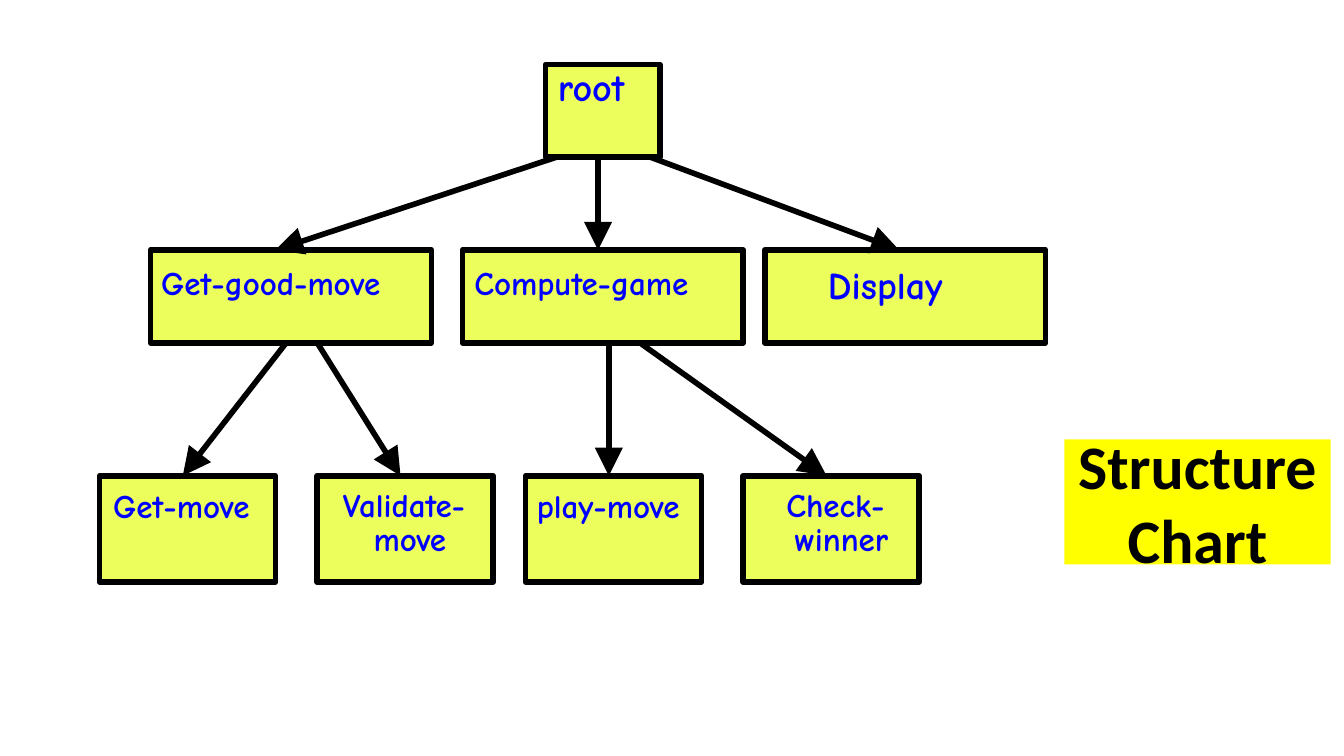
from dataclasses import dataclass

from lxml.etree import SubElement
from pptx import Presentation
from pptx.dml.color import RGBColor
from pptx.enum.shapes import MSO_CONNECTOR, MSO_SHAPE
from pptx.enum.text import MSO_ANCHOR, MSO_AUTO_SIZE, PP_ALIGN
from pptx.oxml.ns import qn
from pptx.util import Inches, Pt

BLACK = RGBColor(0x00, 0x00, 0x00)
BLUE = RGBColor(0x00, 0x00, 0xFF)
LIME = RGBColor(0xEB, 0xFE, 0x5C)
YELLOW = RGBColor(0xFF, 0xFF, 0x00)


@dataclass(frozen=True)
class Level:
    top: float
    width: float
    height: float
    align: PP_ALIGN

    @property
    def bottom(self) -> float:
        return self.top + self.height


@dataclass(frozen=True)
class Label:
    left: float
    top: float
    width: float
    height: float = 0.51
    size: float = 17.7


@dataclass(frozen=True)
class Module:
    name: str
    level: Level
    left: float
    label: Label


@dataclass(frozen=True)
class Call:
    caller: Level
    callee: Level
    start_x: float
    end_x: float


ROOT = Level(0.48, 0.85, 0.69, PP_ALIGN.LEFT)
MIDDLE = Level(1.86, 2.09, 0.69, PP_ALIGN.LEFT)
LEAF = Level(3.54, 1.31, 0.79, PP_ALIGN.CENTER)

MODULES = [
    Module("root", ROOT, 4.06, Label(4.14, 0.48, 0.81, 0.59, 20.4)),
    Module("Get-good-move", MIDDLE, 1.12, Label(1.19, 1.96, 2.47, 0.88)),
    Module("Compute-game", MIDDLE, 3.44, Label(3.52, 1.96, 2.16)),
    Module("Display", MIDDLE, 5.69, Label(6.15, 1.96, 1.93, size=20.4)),
    Module("Get-move", LEAF, 0.74, Label(0.58, 3.62, 1.54)),
    Module("Validate- \vmove", LEAF, 2.36, Label(2.28, 3.61, 1.54, 0.91)),
    Module("play-move", LEAF, 3.91, Label(3.75, 3.62, 1.55)),
    Module("Check- \vwinner", LEAF, 5.53, Label(5.49, 3.61, 1.54, 0.91)),
]

CALLS = [
    Call(ROOT, MIDDLE, 4.14, 2.05),
    Call(ROOT, MIDDLE, 4.45, 4.45),
    Call(ROOT, MIDDLE, 4.84, 6.69),
    Call(MIDDLE, LEAF, 2.13, 1.36),
    Call(MIDDLE, LEAF, 2.36, 2.98),
    Call(MIDDLE, LEAF, 4.53, 4.53),
    Call(MIDDLE, LEAF, 4.76, 6.15),
]


def set_frame(frame, anchor: MSO_ANCHOR) -> None:
    frame.word_wrap = True
    frame.auto_size = MSO_AUTO_SIZE.NONE
    frame.vertical_anchor = anchor
    frame.margin_left = frame.margin_right = Inches(0.01)
    frame.margin_top = frame.margin_bottom = Inches(0.04)


def set_font(paragraph, face: str, size: float, color: RGBColor) -> None:
    paragraph.font.name = face
    paragraph.font.size = Pt(size)
    paragraph.font.bold = True
    paragraph.font.color.rgb = color


def draw_title(slide) -> None:
    title = slide.shapes.title
    title.left, title.top = Inches(7.92), Inches(3.27)
    title.width, title.height = Inches(1.98), Inches(0.93)
    title.fill.solid()
    title.fill.fore_color.rgb = YELLOW
    set_frame(title.text_frame, MSO_ANCHOR.MIDDLE)
    title.text_frame.text = "Structure Chart"
    heading = title.text_frame.paragraphs[0]
    heading.alignment = PP_ALIGN.CENTER
    set_font(heading, "Calibri", 33.1, BLACK)


def draw_box(slide, module: Module) -> None:
    level = module.level
    box = slide.shapes.add_shape(
        MSO_SHAPE.ROUNDED_RECTANGLE, Inches(module.left), Inches(level.top),
        Inches(level.width), Inches(level.height))
    box.adjustments[0] = 0
    box.shadow.inherit = False
    box.fill.solid()
    box.fill.fore_color.rgb = LIME
    box.line.color.rgb = BLACK
    box.line.width = Pt(3)


def draw_label(slide, module: Module) -> None:
    label = module.label
    caption = slide.shapes.add_textbox(
        Inches(label.left), Inches(label.top),
        Inches(label.width), Inches(label.height))
    set_frame(caption.text_frame, MSO_ANCHOR.TOP)
    caption.text_frame.text = module.name
    name = caption.text_frame.paragraphs[0]
    name.alignment = module.level.align
    name.line_spacing = 0.85
    set_font(name, "Comic Neue", label.size, BLUE)


def draw_call(slide, call: Call) -> None:
    arrow = slide.shapes.add_connector(
        MSO_CONNECTOR.STRAIGHT, Inches(call.start_x), Inches(call.caller.bottom),
        Inches(call.end_x), Inches(call.callee.top))
    arrow.line.color.rgb = BLACK
    arrow.line.width = Pt(3)
    SubElement(arrow.line._get_or_add_ln(), qn("a:tailEnd"),
               type="triangle", w="lg", len="lg")
    SubElement(arrow._element.spPr, qn("a:effectLst"))


def main() -> None:
    deck = Presentation()
    deck.slide_width = Inches(10)
    deck.slide_height = deck.slide_width * 9 // 16
    slide = deck.slides.add_slide(deck.slide_layouts[5])
    draw_title(slide)
    for module in MODULES:
        draw_box(slide, module)
    for module in MODULES:
        draw_label(slide, module)
    for call in CALLS:
        draw_call(slide, call)
    deck.save("out.pptx")


if __name__ == "__main__":
    main()
